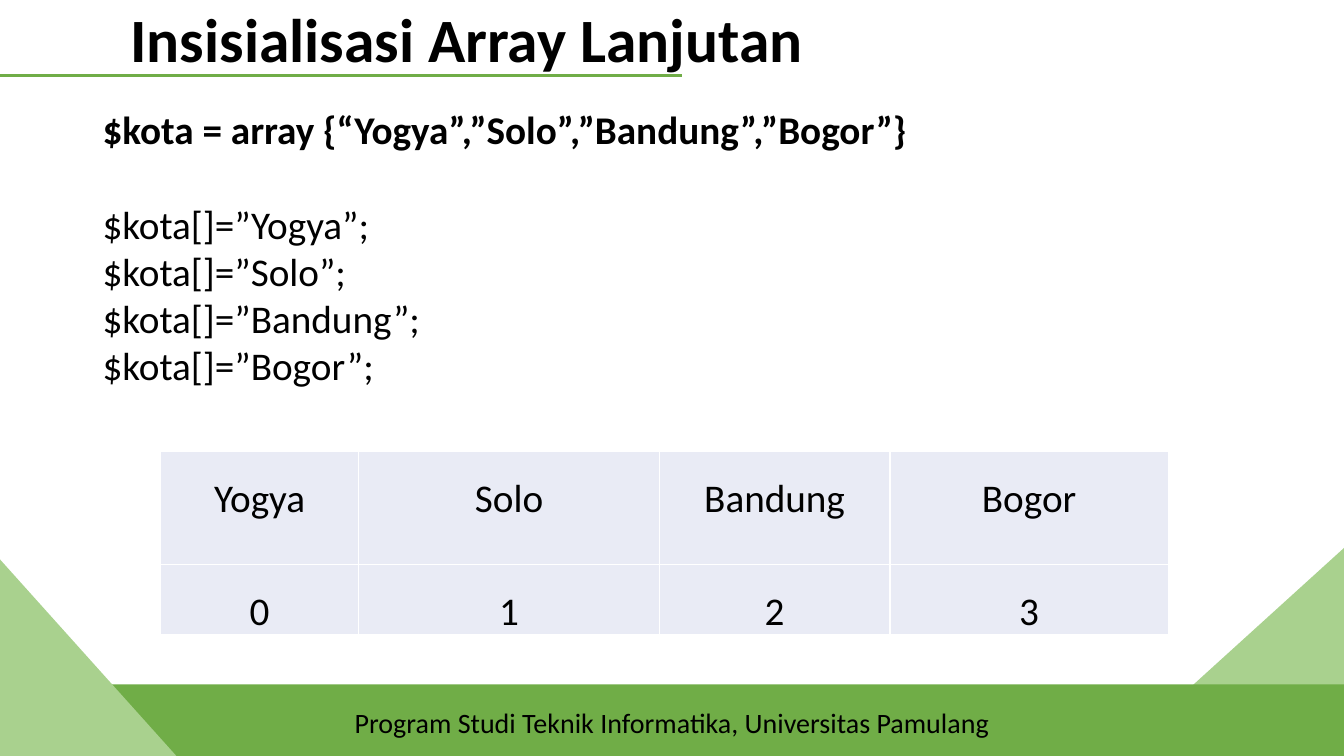
from dataclasses import dataclass

from lxml.etree import SubElement
from pptx import Presentation
from pptx.dml.color import RGBColor
from pptx.enum.shapes import MSO_CONNECTOR, MSO_SHAPE
from pptx.enum.text import MSO_ANCHOR, MSO_AUTO_SIZE, PP_ALIGN
from pptx.oxml.ns import qn
from pptx.util import Pt

BLACK = RGBColor(0x00, 0x00, 0x00)
GREEN = RGBColor(0x70, 0xAD, 0x47)
LIGHT_GREEN = RGBColor(0xA9, 0xD1, 0x8E)
CELL_FILL = RGBColor(0xE9, 0xEB, 0xF5)
FONT = "Calibri"
WIDTH, HEIGHT = 960, 540
CITIES = ["Yogya", "Solo", "Bandung", "Bogor"]
COLUMN_WIDTHS = [141.84, 214.56, 164.88, 198.72]
ROW_HEIGHTS = [80.64, 50]


@dataclass
class Decoration:
    kind: MSO_SHAPE
    left: float
    top: float
    width: float
    height: float
    fill: RGBColor
    rotation: float = 0


RIGHT_CORNER = Decoration(MSO_SHAPE.RIGHT_TRIANGLE, 804.24, 383.76, 148.32, 163.44,
                          LIGHT_GREEN, 270)
FOOTER = Decoration(MSO_SHAPE.RECTANGLE, 0, 488.88, WIDTH, 51.12, GREEN)
LEFT_CORNER = Decoration(MSO_SHAPE.RIGHT_TRIANGLE, 0, 399.6, 126, 140.4, LIGHT_GREEN)


def add_decoration(s, d: Decoration):
    sp = s.shapes.add_shape(d.kind, Pt(d.left), Pt(d.top), Pt(d.width), Pt(d.height))
    sp.rotation = d.rotation
    sp.shadow.inherit = False
    sp.fill.solid()
    sp.fill.fore_color.rgb = d.fill
    sp.line.fill.background()
    return sp


def add_run(p, text: str, size: float, bold: bool = False) -> None:
    r = p.add_run()
    r.text = text
    r.font.name = FONT
    r.font.size = Pt(size)
    r.font.bold = bold
    r.font.color.rgb = BLACK


def add_footer(s) -> None:
    tf = add_decoration(s, FOOTER).text_frame
    tf.vertical_anchor = MSO_ANCHOR.MIDDLE
    tf.margin_top = Pt(6)
    p = tf.paragraphs[0]
    p.alignment = PP_ALIGN.CENTER
    add_run(p, "Program Studi Teknik Informatika, Universitas Pamulang", 20)


def add_title_rule(s) -> None:
    rule = s.shapes.add_connector(MSO_CONNECTOR.STRAIGHT, Pt(0), Pt(54), Pt(487.44), Pt(54))
    rule.line.color.rgb = GREEN
    rule.line.width = Pt(2.25)
    SubElement(rule._element.spPr, qn("a:effectLst"))


def format_title(s) -> None:
    title = s.shapes.title
    title.left, title.top, title.width, title.height = Pt(66.24), Pt(-21.6), Pt(828), Pt(104.4)
    tf = title.text_frame
    tf.auto_size = MSO_AUTO_SIZE.NONE
    tf.vertical_anchor = MSO_ANCHOR.MIDDLE
    tf.margin_left = Pt(27)
    p = tf.paragraphs[0]
    p.alignment = PP_ALIGN.LEFT
    p.line_spacing = 0.9
    add_run(p, "Insisialisasi Array Lanjutan", 44, bold=True)
    # The title's descenders lie over the rule.
    s.shapes._spTree.append(title._element)


def add_code(s) -> None:
    tf = s.shapes.add_textbox(Pt(66.24), Pt(72.72), Pt(732.24), Pt(278.64)).text_frame
    tf.word_wrap = True
    tf.margin_top = Pt(2.6)
    add_run(tf.paragraphs[0], "$kota = array {“Yogya”,”Solo”,”Bandung”,”Bogor”}", 28, bold=True)
    for i, city in enumerate(CITIES):
        p = tf.add_paragraph()
        if i == 0:
            p.space_before = Pt(34.2)
        add_run(p, f"$kota[]=”{city}”;", 28)


def set_borders(cell) -> None:
    """Draw white 1 pt lines round the cell; call before filling it."""
    props = cell._tc.get_or_add_tcPr()
    for side in ("a:lnL", "a:lnR", "a:lnT", "a:lnB"):
        line = SubElement(props, qn(side), w=str(Pt(1)))
        fill = SubElement(line, qn("a:solidFill"))
        SubElement(fill, qn("a:srgbClr"), val="FFFFFF")


def add_index_table(s) -> None:
    rows = [CITIES, [str(i) for i in range(len(CITIES))]]
    table = s.shapes.add_table(len(rows), len(CITIES), Pt(114.48), Pt(322.56),
                               Pt(sum(COLUMN_WIDTHS)), Pt(sum(ROW_HEIGHTS))).table
    table.first_row = False
    table.horz_banding = False
    for column, width in zip(table.columns, COLUMN_WIDTHS):
        column.width = Pt(width)
    for row, height, texts in zip(table.rows, ROW_HEIGHTS, rows):
        row.height = Pt(height)
        for cell, text in zip(row.cells, texts):
            cell.margin_left = cell.margin_right = cell.margin_top = cell.margin_bottom = 0
            set_borders(cell)
            cell.fill.solid()
            cell.fill.fore_color.rgb = CELL_FILL
            p = cell.text_frame.paragraphs[0]
            p.alignment = PP_ALIGN.CENTER
            p.line_spacing = 1.5
            add_run(p, text, 28)


def main() -> None:
    prs = Presentation()
    prs.slide_width, prs.slide_height = Pt(WIDTH), Pt(HEIGHT)
    s = prs.slides.add_slide(prs.slide_layouts.get_by_name("Title Only"))
    add_decoration(s, RIGHT_CORNER)
    add_footer(s)
    add_decoration(s, LEFT_CORNER)
    add_title_rule(s)
    format_title(s)
    add_code(s)
    add_index_table(s)
    prs.save("out.pptx")


if __name__ == "__main__":
    main()
